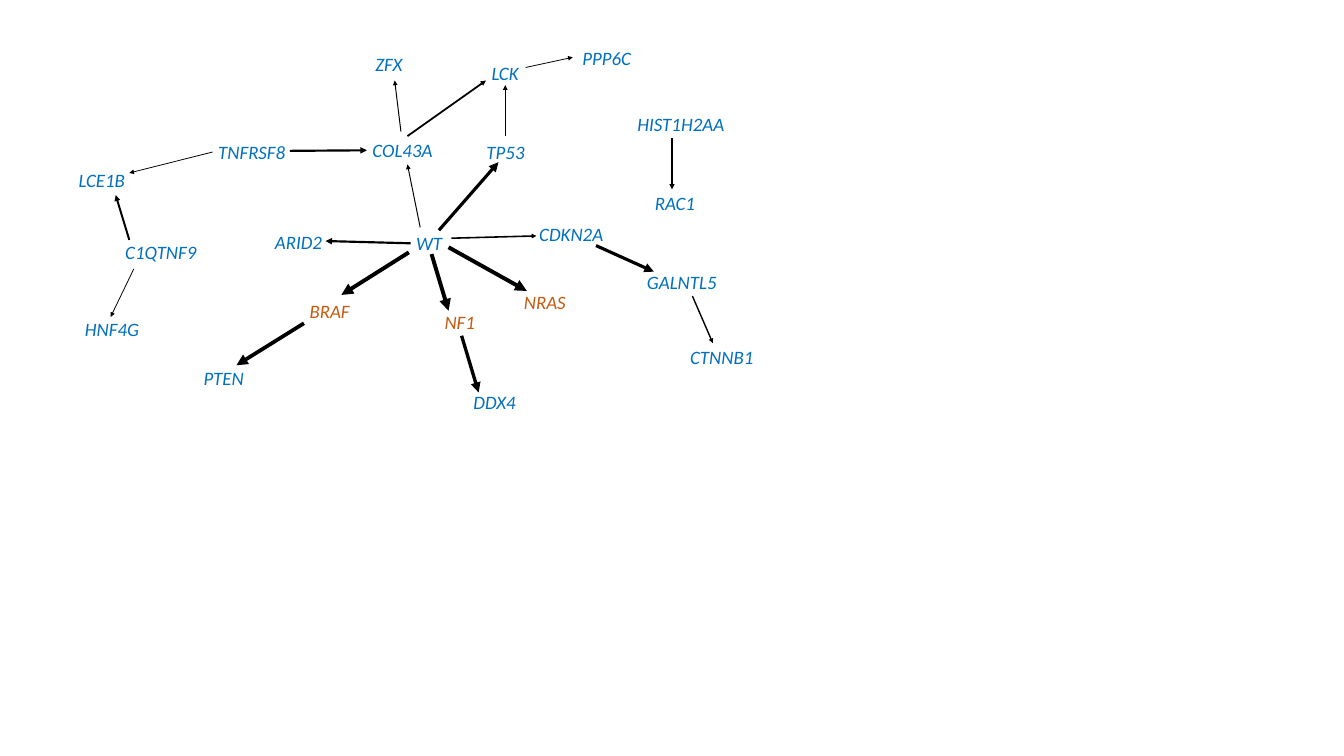
from lxml import etree
from pptx import Presentation
from pptx.dml.color import RGBColor
from pptx.enum.shapes import MSO_CONNECTOR as CONN
from pptx.enum.text import MSO_AUTO_SIZE as AUTO
from pptx.oxml.ns import qn
from pptx.util import Inches, Pt

BLUE = RGBColor(0x00, 0x70, 0xC0)
ORANGE = RGBColor(0xC5, 0x5A, 0x11)
BLACK = RGBColor(0, 0, 0)

LABEL_H = 0.5
TOP, LEFT, BOTTOM = 0, 1, 2

# Gene: left, top, width
GENES = {
    "WT": (7.24, 4.04, 5.33),
    "ARID2": (4.75, 4.01, 5.33),
    "NF1": (7.74, 5.43, 1.38),
    "PTEN": (3.49, 6.42, 1.19),
    "BRAF": (5.36, 5.23, 1.19),
    "TP53": (8.48, 2.43, 5.33),
    "NRAS": (9.14, 5.07, 1.47),
    "CDKN2A": (9.41, 3.88, 1.38),
    "DDX4": (8.25, 6.83, 1.16),
    "COL43A": (6.47, 2.4, 1.43),
    "LCK": (8.57, 1.04, 1.43),
    "ZFX": (6.52, 0.87, 1.43),
    "TNFRSF8": (3.75, 2.43, 1.43),
    "C1QTNF9": (2.11, 4.2, 1.64),
    "LCE1B": (1.29, 2.93, 1.64),
    "HIST1H2AA": (11.14, 1.94, 1.8),
    "RAC1": (11.45, 3.33, 1.8),
    "GALNTL5": (11.31, 4.72, 1.8),
    "CTNNB1": (12.07, 6.05, 1.5),
    "HNF4G": (1.4, 5.55, 1.64),
    "PPP6C": (10.17, 0.78, 1.64),
}
DRIVERS = {"NF1", "BRAF", "NRAS"}

# Start, end, line weight; an end is a point or a (gene, side) pair
ARROWS = [
    # from WT
    ((7.61, 4.48), (7.91, 5.48), 5),
    ((7.91, 4.36), (9.29, 5.13), 5),
    ((7.21, 4.45), (6.02, 5.2), 5),
    (("WT", LEFT), (5.74, 4.25), 2.75),
    ((7.74, 4.06), (8.79, 2.86), 4),
    ((7.41, 4.01), ("COL43A", BOTTOM), 1.25),
    ((7.96, 4.2), (9.46, 4.16), 2),
    # from NF1, BRAF and CDKN2A down
    ((8.14, 5.92), (8.44, 6.92), 4.25),
    ((5.36, 5.7), (4.17, 6.44), 4.75),
    ((10.51, 4.33), (11.53, 4.79), 4),
    (("GALNTL5", BOTTOM), (12.57, 6.05), 1.75),
    # from COL43A, TP53 and LCK up
    (("COL43A", TOP), (8.57, 1.42), 2.25),
    ((7.07, 2.32), (6.96, 1.42), 1.25),
    ((8.91, 2.4), (8.91, 1.5), 1.25),
    ((9.27, 1.19), (10.1, 1.01), 1),
    # from TNFRSF8 and C1QTNF9
    ((5.11, 2.66), ("COL43A", LEFT), 2.75),
    (("TNFRSF8", LEFT), (2.28, 3.05), 1),
    ((2.28, 4.23), (2.04, 3.44), 2.5),
    ((2.36, 4.74), (1.95, 5.59), 1),
    # from HIST1H2AA
    ((11.85, 2.43), (11.85, 3.34), 2.25),
]


def add_gene(slide, name, left, top, width):
    sp = slide.shapes.add_textbox(Inches(left), Inches(top), Inches(width), Inches(LABEL_H))
    tf = sp.text_frame
    tf.word_wrap = True
    tf.auto_size = AUTO.SHAPE_TO_FIT_TEXT
    r = tf.paragraphs[0].add_run()
    r.text = name
    r.font.name = "Calibri"
    r.font.size = Pt(24)
    r.font.italic = True
    r.font.color.rgb = ORANGE if name in DRIVERS else BLUE
    return sp


def is_joined(end):
    return isinstance(end[0], str)


def add_arrow(slide, labels, start, end, weight):
    x1, y1 = (0, 0) if is_joined(start) else start
    x2, y2 = (0, 0) if is_joined(end) else end
    cn = slide.shapes.add_connector(
        CONN.STRAIGHT, Inches(x1), Inches(y1), Inches(x2), Inches(y2))
    if is_joined(start):
        cn.begin_connect(labels[start[0]], start[1])
    if is_joined(end):
        cn.end_connect(labels[end[0]], end[1])
    cn.line.color.rgb = BLACK
    cn.line.width = Pt(weight)
    # Arrowhead, no shadow
    etree.SubElement(cn.line._get_or_add_ln(), qn("a:tailEnd"), type="triangle")
    etree.SubElement(cn._element.spPr, qn("a:effectLst"))


def main():
    prs = Presentation()
    prs.slide_width, prs.slide_height = Inches(23.7), Inches(13.33)
    slide = prs.slides.add_slide(prs.slide_layouts[6])

    # Gene labels
    labels = {name: add_gene(slide, name, *box) for name, box in GENES.items()}

    # Arrows between genes
    for start, end, weight in ARROWS:
        add_arrow(slide, labels, start, end, weight)

    prs.save("out.pptx")


if __name__ == "__main__":
    main()
